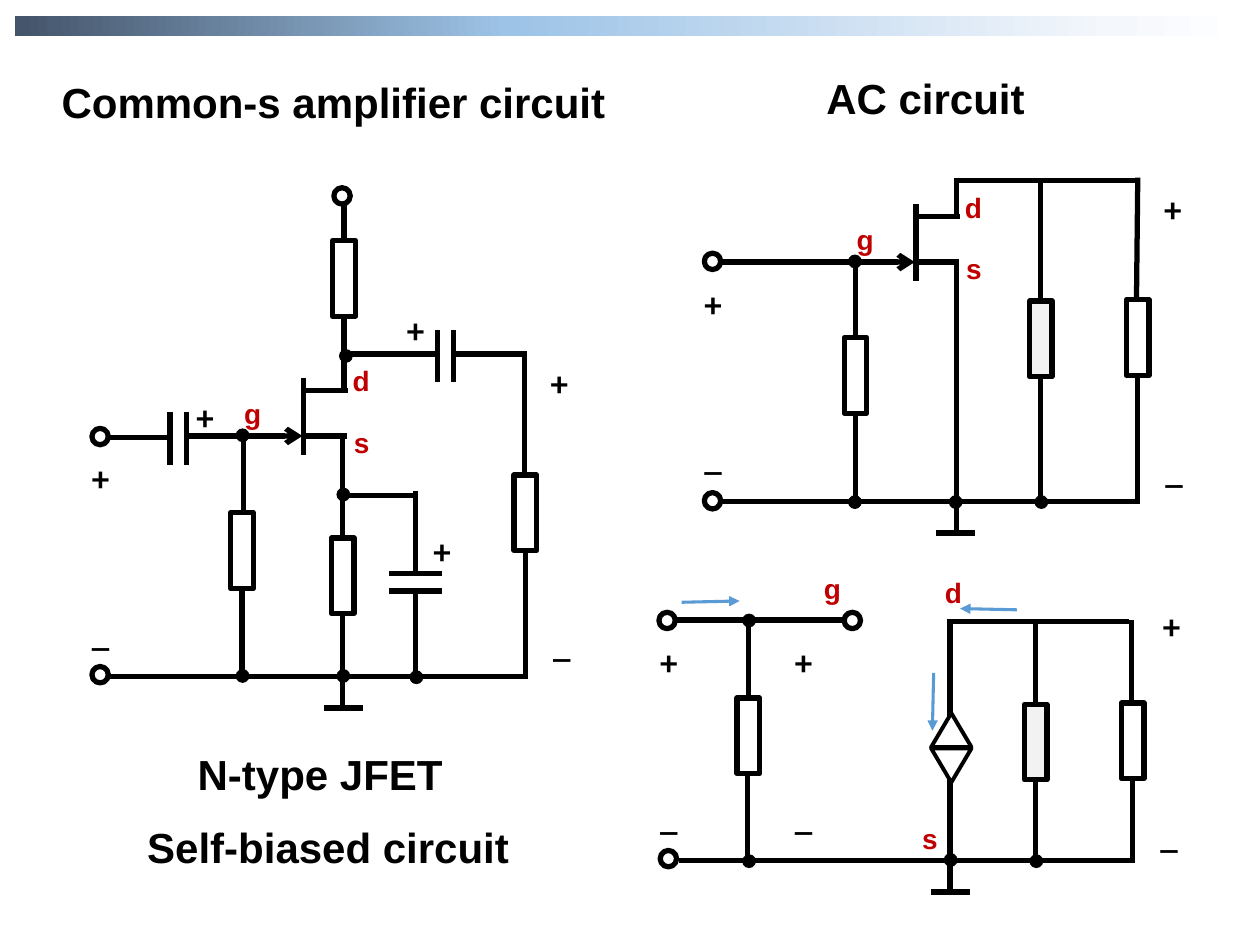
"""Build a slide of three JFET amplifier circuits."""
import pptx
import pptx.util
import pptx.dml.color
import pptx.enum.shapes
import pptx.enum.text
import pptx.oxml.ns
import lxml.etree

PX = 9144
COLORS = {"ink": "000000", "red": "C00000", "blue": "5B9BD5",
          "pale": "F2F2F2", "white": "FFFFFF"}
STOPS = [(0, "44546A"), (40, "9DC3E6"), (89, "F4F7FC"), (100, "FFFFFF")]
TITLES = [
    ("N-type JFET", 147, 589, 224, "JUSTIFY"),
    ("Self-biased circuit", 107, 647, 312, "JUSTIFY"),
    ("Common-s amplifier circuit", 39, 56, 478, "JUSTIFY"),
    ("AC circuit", 634, 53, 201, "CENTER"),
]
BIAS = {
    "jfet": (241, 346, 148),
    "wires": [
        (257, 562, 288, 562), (193, 408, 193, 346), (192, 537, 192, 467),
        (84, 537, 418, 537), (272, 487, 272, 562), (272, 346, 272, 426),
        (273, 250, 273, 312), (273, 161, 273, 192), (270, 393, 332, 393),
        (330, 390, 330, 455), (330, 470, 330, 537), (309, 455, 351, 455),
        (309, 469, 351, 469), (148, 369, 148, 327), (135, 327, 135, 369),
        (133, 347, 86, 347), (360, 303, 360, 262), (347, 262, 347, 303),
        (347, 281, 273, 281), (418, 281, 361, 281), (416, 377, 416, 279),
        (417, 438, 417, 539)],
    "loads": [(183, 407), (263, 427), (264, 191), (408, 377)],
    "ports": [(73, 529), (73, 340), (265, 149)],
    "dots": [(267, 531), (267, 387), (325, 532), (187, 531), (269, 277),
             (187, 340)],
    "signs": [("+", 344, 420), ("_", 73, 485), ("+", 73, 362),
              ("+", 323, 245), ("+", 156, 314), ("_", 439, 494),
              ("+", 437, 287)],
}
AC = {
    "jfet": (727, 208, 572),
    "wires": [
        (743, 423, 774, 423), (679, 269, 679, 208), (679, 399, 679, 328),
        (571, 398, 904, 398), (759, 207, 759, 423), (759, 141, 759, 173),
        (826, 143, 826, 398), (903, 143, 759, 143), (902, 238, 903, 141),
        (903, 299, 903, 400)],
    "loads": [(670, 268), (894, 238)],
    "pale": [(817, 239)],
    "ports": [(559, 391), (559, 201)],
    "dots": [(753, 393), (821, 393), (673, 393), (673, 202)],
    "signs": [("_", 559, 346), ("+", 559, 224), ("_", 925, 356),
              ("+", 924, 149)],
}
MODEL = {
    "wires": [
        (739, 708, 770, 708), (594, 555, 594, 493), (593, 684, 593, 614),
        (539, 683, 900, 683), (754, 492, 754, 708), (822, 492, 822, 683),
        (537, 492, 670, 492), (896, 493, 752, 493), (898, 558, 898, 492),
        (899, 618, 899, 685)],
    "loads": [(585, 554), (890, 558)],
    "pale": [(813, 559)],
    "ports": [(524, 675), (523, 486), (670, 486)],
    "dots": [(749, 677), (817, 678), (589, 678), (589, 487)],
    "source": (739, 566),
    "flows": [(741, 534, 740, 580), (807, 484, 762, 483),
              (541, 478, 587, 477)],
    "signs": [("_", 524, 631), ("+", 524, 508), ("_", 921, 646),
              ("+", 923, 480), ("_", 631, 631), ("+", 631, 508)],
    "pins": [("g", 644, 449), ("s", 722, 647), ("d", 740, 452)],
}


def rgb(name):
    return pptx.dml.color.RGBColor.from_string(COLORS[name])


def add_xml(node, tag, **attrs):
    return lxml.etree.SubElement(node, pptx.oxml.ns.qn(tag), **attrs)


def draw_wire(shapes, ends, color="ink", width=3, head=None):
    kind = pptx.enum.shapes.MSO_CONNECTOR.STRAIGHT
    wire = shapes.add_connector(kind, *(v * PX for v in ends))
    wire.line.color.rgb = rgb(color)
    wire.line.width = pptx.util.Pt(width)
    if head:
        add_xml(wire.line._get_or_add_ln(), "a:tailEnd", type=head)
    add_xml(wire._element.spPr, "a:effectLst")


def draw_part(shapes, kind, x, y, w, h, fill=None, width=3):
    kind = getattr(pptx.enum.shapes.MSO_SHAPE, kind)
    part = shapes.add_shape(kind, *(v * PX for v in (x, y, w, h)))
    part.shadow.inherit = False
    if fill:
        part.fill.solid()
        part.fill.fore_color.rgb = rgb(fill)
    else:
        part.fill.background()
    if width:
        part.line.color.rgb = rgb("ink")
        part.line.width = pptx.util.Pt(width)
    else:
        part.line.fill.background()
    return part


def draw_text(shapes, text, x, y, w, h, size, font="Arial", color="ink",
              align="JUSTIFY", tight=False):
    box = shapes.add_textbox(*(v * PX for v in (x, y, w, h)))
    frame = box.text_frame
    frame.word_wrap = not tight
    frame.auto_size = pptx.enum.text.MSO_AUTO_SIZE.SHAPE_TO_FIT_TEXT
    if tight:
        frame.margin_left = frame.margin_right = 0
        frame.margin_top = frame.margin_bottom = 0
    para = frame.paragraphs[0]
    para.alignment = getattr(pptx.enum.text.PP_ALIGN, align)
    run = para.add_run()
    run.text = text
    run.font.name = font
    run.font.size = pptx.util.Pt(size)
    run.font.bold = True
    run.font.color.rgb = rgb(color)


def draw_pin(shapes, name, x, y):
    draw_text(shapes, name, x, y, 36, 37, 16, color="red")


def draw_jfet(shapes, x, y, start):
    draw_wire(shapes, (x, y + 15, x, y - 46))
    draw_wire(shapes, (x, y, x + 34, y))
    draw_wire(shapes, (x + 2, y - 36, x + 35, y - 36))
    draw_wire(shapes, (start, y, x - 1, y), head="arrow")
    for name, dx, dy in [("g", -57, -36), ("s", 30, -13), ("d", 29, -62)]:
        draw_pin(shapes, name, x + dx, y + dy)


def draw_source(shapes, x, y):
    for dy, turn in [(0, False), (28, True)]:
        part = draw_part(shapes, "ISOSCELES_TRIANGLE", x, y + dy, 32, 27,
                         "white", 2.25)
        if turn:
            part._element.spPr.xfrm.set("flipV", "1")


def draw_net(slide, net):
    shapes = slide.shapes.add_group_shape().shapes
    for ends in net["wires"]:
        draw_wire(shapes, ends)
    if "jfet" in net:
        draw_jfet(shapes, *net["jfet"])
    for key, kind, w, h, fill, width in [
            ("loads", "RECTANGLE", 18, 60, None, 3),
            ("pale", "RECTANGLE", 18, 60, "pale", 3),
            ("ports", "OVAL", 13, 13, None, 3),
            ("dots", "OVAL", 11, 11, "ink", 0)]:
        for x, y in net.get(key, []):
            draw_part(shapes, kind, x, y, w, h, fill, width)
    if "source" in net:
        draw_source(shapes, *net["source"])
    for ends in net.get("flows", []):
        draw_wire(shapes, ends, "blue", 1.75, "triangle")
    for sign, x, y in net["signs"]:
        draw_text(shapes, sign, x, y, 14, 34, 20, "Calibri", tight=True)
    for pin in net.get("pins", []):
        draw_pin(shapes, *pin)


def draw_band(slide):
    band = draw_part(slide.shapes, "RECTANGLE", 12, 13, 976, 16, width=0)
    band.fill.gradient()
    band.fill.gradient_angle = 0
    stops = band._element.spPr.find(".//" + pptx.oxml.ns.qn("a:gsLst"))
    for stop in list(stops):
        stops.remove(stop)
    for pos, color in STOPS:
        stop = add_xml(stops, "a:gs", pos=str(pos * 1000))
        add_xml(stop, "a:srgbClr", val=color)


def main():
    deck = pptx.Presentation()
    deck.slide_width, deck.slide_height = 1000 * PX, 750 * PX
    slide = deck.slides.add_slide(deck.slide_layouts[6])
    draw_band(slide)
    for text, x, y, w, align in TITLES:
        draw_text(slide.shapes, text, x, y, w, 50, 24, align=align)
    for net in (BIAS, AC, MODEL):
        draw_net(slide, net)
    deck.save("out.pptx")


if __name__ == "__main__":
    main()
